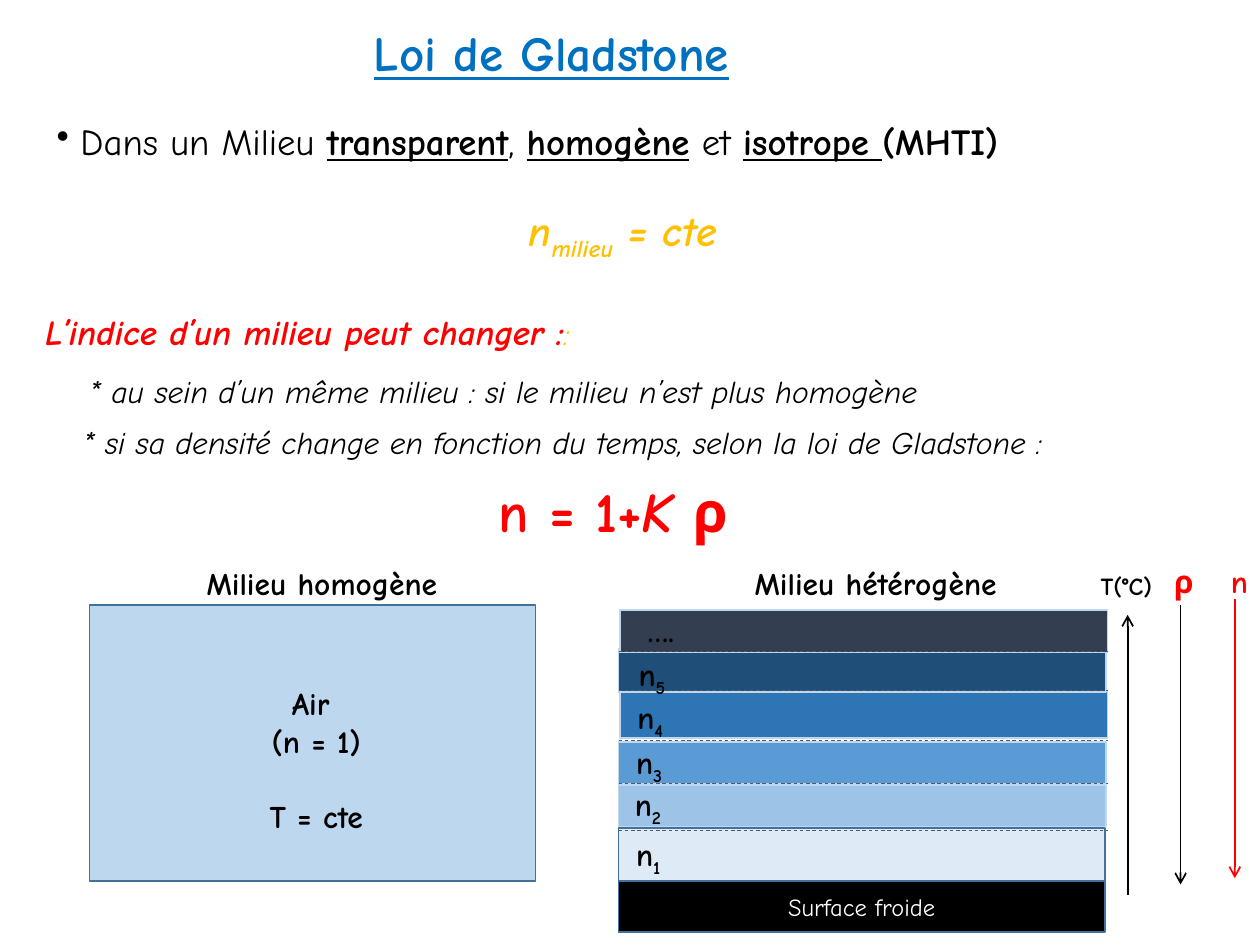
"""Build the slide on Gladstone's law, with a homogeneous and a layered medium."""
from lxml import etree
from pptx import Presentation, util as u
from pptx.dml.color import RGBColor
from pptx.enum import dml, shapes, text
from pptx.oxml import ns

THEME = {
    "font": "Comic Neue",
    "ink": "000000", "red": "FF0000", "blue": "0070C0", "gold": "FFC000", "white": "FFFFFF",
    "edge": "41719C", "pale": "BDD7EE", "dash": "595959",
    "layers": ["9DC3E6", "5B9BD5", "2E75B6", "1F4E79", "333F50", "DEEBF7"],
    "title": 28, "law": 32, "index": 24, "lead": 21, "head": 20, "body": 18, "small": 14,
}
MID, JUST = text.PP_ALIGN.CENTER, text.PP_ALIGN.JUSTIFY
BOLD, SLANT = {"bold": True}, {"italic": True}
KEY = {"bold": True, "underline": True}
SUB = {"base": "-25000"}


def write(frame, paras, size, color, style):
    for i, (form, runs) in enumerate(paras):
        para = frame.paragraphs[0] if i == 0 else frame.add_paragraph()
        for key, val in form.items():
            if key == "bullet":
                props = para._p.get_or_add_pPr()
                props.set("marL", str(u.Inches(0.19)))
                props.set("indent", str(u.Inches(-0.19)))
                etree.SubElement(props, ns.qn("a:buChar")).set("char", val)
            elif key == "left":
                para._p.get_or_add_pPr().set("marL", str(u.Inches(val)))
            else:
                setattr(para, key, val)
        for words, extra in runs:
            run = para.add_run()
            run.text = words
            look = {"name": THEME["font"], "size": size, "color": color, **style, **extra}
            run.font.color.rgb = RGBColor.from_string(THEME[look.pop("color")])
            look["size"] = u.Pt(THEME[look["size"]])
            base = look.pop("base", None)
            for key, val in look.items():
                setattr(run.font, key, val)
            if base:
                run._r.get_or_add_rPr().set("baseline", base)


def link(start, end, color, width, dash=False):
    line = slide.shapes.add_connector(
        shapes.MSO_CONNECTOR.STRAIGHT, *map(u.Inches, (*start, *end)))
    line.line.color.rgb = RGBColor.from_string(THEME[color])
    line.line.width = u.Pt(width)
    props = line._element.spPr
    if dash:
        line.line.dash_style = dml.MSO_LINE.DASH
    else:
        tip = etree.SubElement(props.find(ns.qn("a:ln")), ns.qn("a:tailEnd"))
        tip.set("type", "arrow")
    etree.SubElement(props, ns.qn("a:effectLst"))


deck = Presentation()
deck.slide_width, deck.slide_height = u.Inches(10), u.Inches(7.5)
slide = deck.slides.add_slide(deck.slide_layouts[6])

tops = [(4.91, 6.23, 0.33), (4.91, 5.89, 0.33), (4.92, 5.48, 0.38),
        (4.91, 5.15, 0.34), (4.92, 4.84, 0.34), (4.91, 6.57, 0.42)]
blocks = [((0.71, 4.8, 3.54, 2.19), THEME["pale"], "edge")]
for (x, y, h), fill in zip(tops, THEME["layers"]):
    low = y > 6.5
    blocks.append(((x, y, 3.86 if low else 3.87, h), fill, "edge" if low else "pale"))
blocks.append(((4.91, 6.99, 3.86, 0.41), THEME["ink"], "edge"))
for place, fill, edge in blocks:
    block = slide.shapes.add_shape(shapes.MSO_SHAPE.RECTANGLE, *map(u.Inches, place))
    block.shadow.inherit = False
    block.fill.solid()
    block.fill.fore_color.rgb = RGBColor.from_string(fill)
    block.line.color.rgb = RGBColor.from_string(THEME[edge])
    block.line.width = u.Pt(1)
block.text_frame.vertical_anchor = text.MSO_ANCHOR.MIDDLE
write(block.text_frame, [({"alignment": MID}, [("Surface froide", {})])], "small", "white", {})

for y in (6.59, 6.22, 5.88, 5.48, 5.17):
    link((4.91, y), (8.79, y), "dash", 0.5, True)
link((8.95, 7.1), (8.95, 4.88), "ink", 1)
link((9.37, 4.8), (9.37, 7.02), "ink", 1)
link((9.8, 4.75), (9.8, 6.97), "red", 1)

wide = {"alignment": JUST, "line_spacing": 1.5}
mid = {"alignment": MID}
notes = [
    ((2.87, 0.03, 9.33, 0.83), "title", "blue", KEY, True,
     [({"line_spacing": 0.9}, [("Loi de Gladstone", {})])]),
    ((0.35, 0.72, 9.19, 4.76), "lead", "ink", {}, True, [
        ({**wide, "bullet": "•"}, [
            ("Dans un Milieu ", {}), ("transparent", KEY), (", ", {}), ("homogène", KEY),
            (" et ", {}), ("isotrope ", KEY), ("(MHTI)", BOLD)]),
        ({**wide, **mid, "space_before": u.Pt(7.5)}, [
            (words, {"size": "index", "color": "gold", **BOLD, **SLANT, **extra})
            for words, extra in (("n", {}), ("milieu", SUB), (" = cte", {}))])]),
    ((0.26, 2.25, 8.07, 1.05), "body", "ink", SLANT, True, [
        (wide, [("L’indice d’un milieu peut changer :", {"size": "head", "color": "red", **BOLD}),
                (":", {"color": "gold"})]),
        ({**wide, "left": 0.35},
         [("* au sein d’un même milieu : si le milieu n’est plus homogène", {})])]),
    ((0.56, 3.16, 8.36, 0.55), "body", "ink", SLANT, True, [
        (wide, [("* si sa densité change en fonction du temps, selon la loi de Gladstone :", {})])]),
    ((3.86, 3.73, 2.24, 0.64), "law", "red", BOLD, False,
     [({}, [("n = 1+", {}), ("K ", SLANT), ("ρ", {})])]),
    ((0.54, 5.38, 3.94, 1.3), "body", "ink", BOLD, True, [
        (mid, [("Air ", {})]), (mid, [("(n = 1)", {})]),
        ({**mid, "space_before": u.Pt(21.5)}, [("T = cte", {})])]),
    ((1.54, 4.43, 2.03, 0.4), "body", "ink", BOLD, False, [(mid, [("Milieu homogène", {})])]),
    ((4.98, 4.43, 3.94, 0.7), "body", "ink", BOLD, True, [(mid, [("Milieu hétérogène", {})])]),
    ((6.97, 4.48, 3.94, 0.34), "small", "ink", BOLD, True, [(mid, [("T(°C)", {})])]),
    ((9.1, 4.41, 0.59, 0.4), "body", "red", BOLD, True, [(mid, [("ρ", {})])]),
    ((9.67, 4.41, 0.33, 0.4), "body", "red", BOLD, False, [({}, [("n", {})])]),
    ((5.04, 4.8, 0.41, 0.4), "body", "ink", BOLD, False, [({}, [("….", {})])]),
]
spots = [(4.95, 6.58), (4.94, 6.18), (4.95, 5.85), (4.96, 5.49), (4.97, 5.15)]
for i, spot in enumerate(spots, 1):
    notes.append(((*spot, 0.46, 0.44), "body", "ink", BOLD, True,
                  [({}, [("n", {}), (str(i), SUB)])]))
for place, size, color, style, wrap, paras in notes:
    frame = slide.shapes.add_textbox(*map(u.Inches, place)).text_frame
    frame.word_wrap = wrap
    if size in ("title", "law"):
        frame.vertical_anchor = text.MSO_ANCHOR.MIDDLE
    write(frame, paras, size, color, style)

deck.save("out.pptx")
